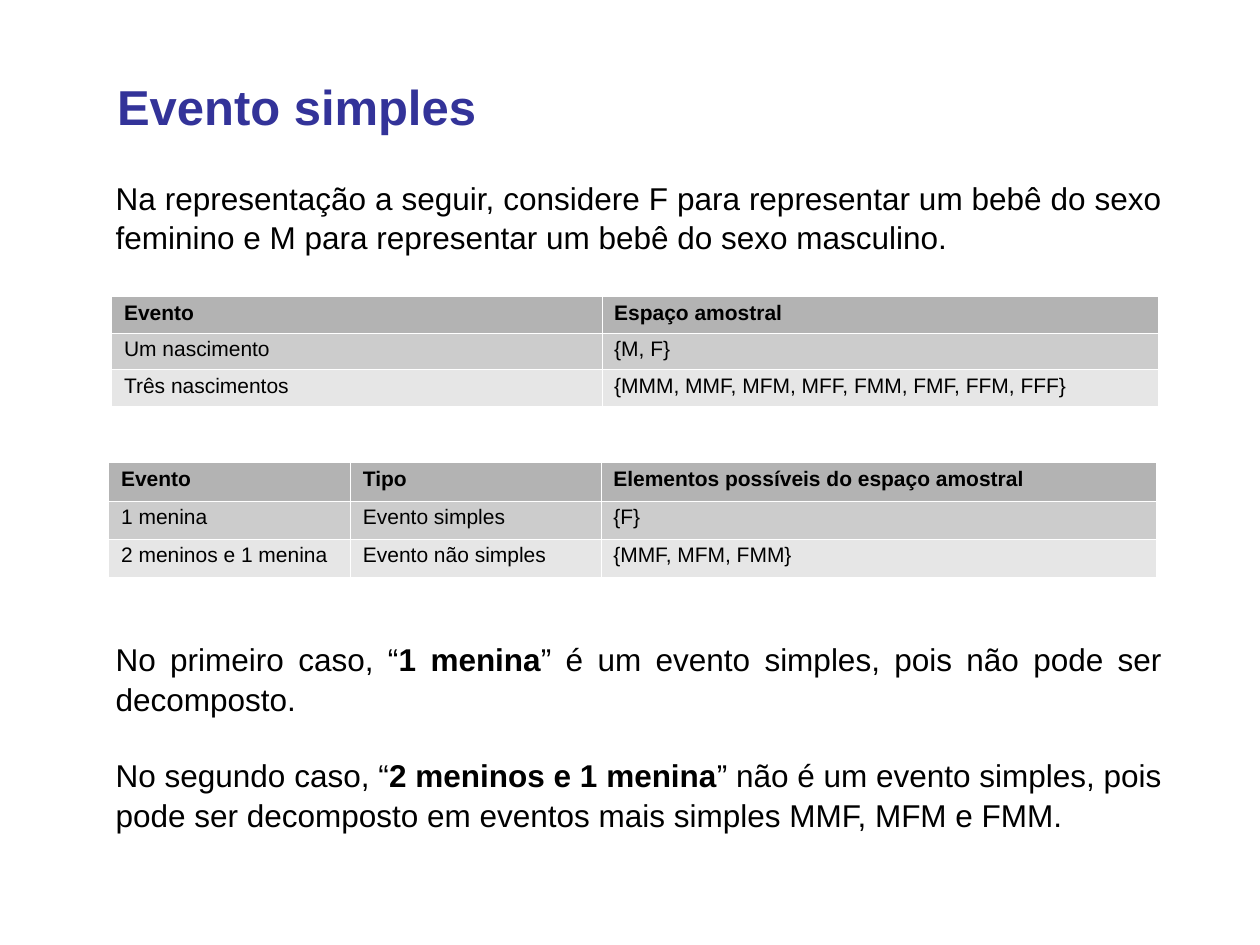
import dataclasses

import lxml.etree
import pptx
import pptx.dml.color
import pptx.enum.text
import pptx.oxml.ns
import pptx.util

Pt = pptx.util.Pt
ALIGN = pptx.enum.text.PP_ALIGN


@dataclasses.dataclass(frozen=True)
class Theme:
    """Colours and type sizes of the slide."""
    face: str = "Arial"
    title: str = "333399"
    ink: str = "000000"
    edge: str = "FFFFFF"
    fills: tuple = ("B3B3B3", "CCCCCC", "E6E6E6")
    head: float = 28
    body: float = 18
    cell: float = 12


LOOK = Theme()


def apply(item, form):
    """Set each format value on the item."""
    for name, value in form.items():
        setattr(item, name, value)


def tint(hue):
    """Turn a hex string into a colour."""
    return pptx.dml.color.RGBColor.from_string(hue)


def write(para, parts, size, hue, form):
    """Fill a paragraph with (text, bold) parts."""
    apply(para, form)
    for text, bold in parts:
        run = para.add_run()
        run.text = text
        apply(run.font, {"name": LOOK.face, "size": Pt(size), "bold": bold})
        run.font.color.rgb = tint(hue)


def add_text(slide, spot, paras, size, hue, form, gap=0):
    """Add a wrapped text box of one or more paragraphs."""
    frame = slide.shapes.add_textbox(*map(Pt, spot)).text_frame
    frame.word_wrap = True
    for i, parts in enumerate(paras):
        para = frame.add_paragraph() if i else frame.paragraphs[0]
        write(para, parts, size, hue, {**form, "space_before": Pt(gap if i else 0)})


def add_edge(cell):
    """Draw a thin line on all four sides of a cell."""
    props = cell._tc.get_or_add_tcPr()
    tag = pptx.oxml.ns.qn
    for side in ("a:lnL", "a:lnR", "a:lnT", "a:lnB"):
        line = lxml.etree.SubElement(props, tag(side), w=str(Pt(0.06)))
        fill = lxml.etree.SubElement(line, tag("a:solidFill"))
        lxml.etree.SubElement(fill, tag("a:srgbClr"), val=LOOK.edge)


def add_grid(slide, left, top, wides, high, rows):
    """Add a table with one fill per row and a bold first row."""
    table = slide.shapes.add_table(
        len(rows), len(wides), Pt(left), Pt(top),
        Pt(sum(wides)), Pt(high * len(rows))).table
    apply(table, {"first_row": False, "horz_banding": False})
    for col, wide in zip(table.columns, wides):
        col.width = Pt(wide)
    for r, (row, hue) in enumerate(zip(rows, LOOK.fills)):
        table.rows[r].height = Pt(high)
        for c, text in enumerate(row):
            cell = table.cell(r, c)
            add_edge(cell)
            cell.fill.solid()
            cell.fill.fore_color.rgb = tint(hue)
            write(cell.text_frame.paragraphs[0], [(text, r == 0)],
                  LOOK.cell, LOOK.ink, {"line_spacing": 0.93})


def main():
    """Build the slide and save it."""
    deck = pptx.Presentation()
    apply(deck, {"slide_width": Pt(720), "slide_height": Pt(540)})
    slide = deck.slides.add_slide(deck.slide_layouts[6])
    prose = {"alignment": ALIGN.JUSTIFY, "line_spacing": 1.04}

    add_text(slide, (59.8, 40.3, 612.7, 46.1), [[("Evento simples", True)]],
             LOOK.head, LOOK.title, {"alignment": ALIGN.LEFT})
    add_text(slide, (59, 97.9, 612, 60.5), [[(
        "Na representação a seguir, considere F para representar um bebê do sexo "
        "feminino e M para representar um bebê do sexo masculino.", False)]],
        LOOK.body, LOOK.ink, prose)
    add_grid(slide, 63.7, 169.4, (280.1, 318.2), 20.9, [
        ("Evento", "Espaço amostral"),
        ("Um nascimento", "{M, F}"),
        ("Três nascimentos", "{MMM, MMF, MFM, MFF, FMM, FMF, FFM, FFF}"),
    ])
    add_grid(slide, 62, 264.3, (138.2, 143.1, 317.5), 21.8, [
        ("Evento", "Tipo", "Elementos possíveis do espaço amostral"),
        ("1 menina", "Evento simples", "{F}"),
        ("2 meninos e 1 menina", "Evento não simples", "{MMF, MFM, FMM}"),
    ])
    add_text(slide, (59, 361.5, 612, 128.2), [
        [("No primeiro caso, “", False), ("1 menina", True),
         ("” é um evento simples, pois não pode ser decomposto.", False)],
        [("No segundo caso, “", False), ("2 meninos e 1 menina", True),
         ("” não é um evento simples, pois pode ser decomposto em eventos "
          "mais simples MMF, MFM e FMM.", False)],
    ], LOOK.body, LOOK.ink, prose, gap=21.5)
    deck.save("out.pptx")


if __name__ == "__main__":
    main()
